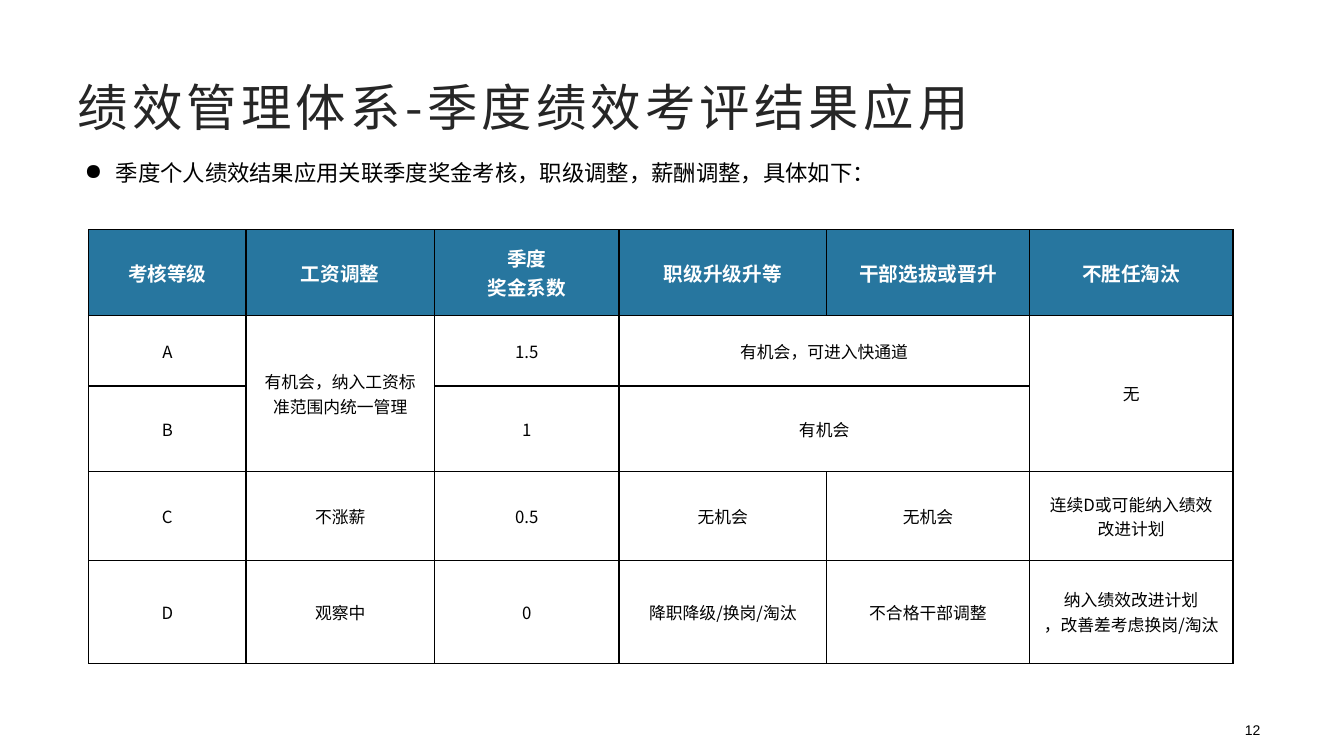
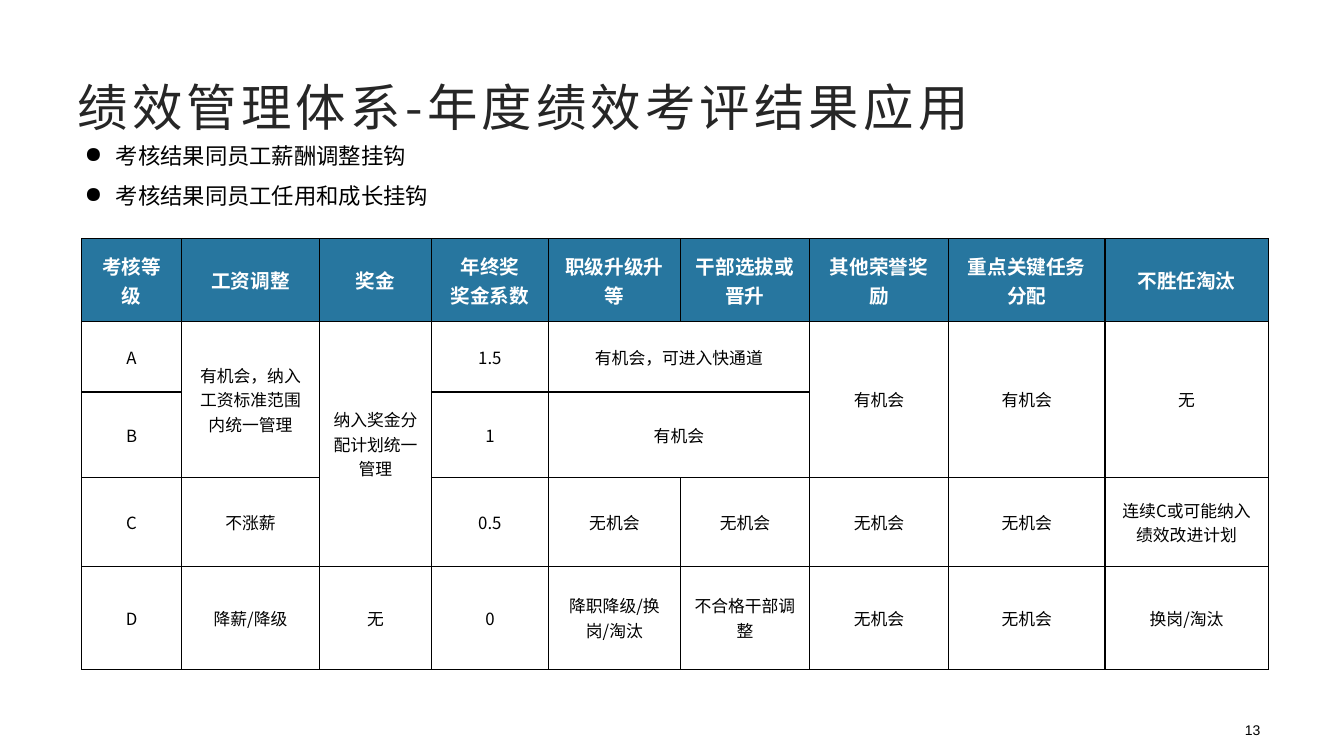
from dataclasses import dataclass

from lxml import etree
from pptx import Presentation
from pptx.dml.color import RGBColor
from pptx.enum.text import MSO_ANCHOR, MSO_AUTO_SIZE, PP_ALIGN
from pptx.oxml.ns import qn
from pptx.util import Inches, Pt

MIDDLE = MSO_ANCHOR.MIDDLE
LEFT, CENTER, RIGHT = PP_ALIGN.LEFT, PP_ALIGN.CENTER, PP_ALIGN.RIGHT
NO_FIT, GROW = MSO_AUTO_SIZE.NONE, MSO_AUTO_SIZE.SHAPE_TO_FIT_TEXT

BLACK = RGBColor(0x00, 0x00, 0x00)
WHITE = RGBColor(0xFF, 0xFF, 0xFF)
TITLE_GRAY = RGBColor(0x26, 0x26, 0x26)
HEADER_BLUE = RGBColor(0x27, 0x76, 0x9F)

ARIAL = "Arial"
NOTO = "Noto Sans CJK JP"
TITLE_ONLY = 5
BODY_ROW_HEIGHTS = [0.7, 0.85, 0.88, 1.02]

# Grid entries that continue the cell above or the cell to the left
UP, BACK = "^", "<"


@dataclass(frozen=True)
class TextStyle:
    size: float
    color: RGBColor
    latin: str
    east_asian: str
    bold: bool = False
    spacing: float = 0


TITLE_STYLE = TextStyle(36, TITLE_GRAY, NOTO, NOTO, spacing=3)
BULLET_STYLE = TextStyle(16, BLACK, ARIAL, ARIAL)
PAGE_STYLE = TextStyle(10, BLACK, ARIAL, ARIAL)
HEADER_STYLE = TextStyle(14, WHITE, ARIAL, NOTO, bold=True)
BODY_STYLE = TextStyle(12, BLACK, NOTO, NOTO)


@dataclass(frozen=True)
class ResultSlide:
    page: int
    title: str
    bullets: list[str]
    bullets_top: float
    bullets_height: float
    table_left: float
    table_top: float
    column_widths: list[float]
    header_height: float
    grid: list[list[str]]


QUARTERLY = ResultSlide(
    page=12,
    title="绩效管理体系-季度绩效考评结果应用",
    bullets=["季度个人绩效结果应用关联季度奖金考核，职级调整，薪酬调整，具体如下："],
    bullets_top=1.4,
    bullets_height=0.46,
    table_left=0.88,
    table_top=2.28,
    column_widths=[1.56, 1.87, 1.83, 2.06, 2.01, 2.02],
    header_height=0.85,
    grid=[
        ["考核等级", "工资调整", "季度\n奖金系数", "职级升级升等", "干部选拔或晋升", "不胜任淘汰"],
        ["A", "有机会，纳入工资标准范围内统一管理", "1.5", "有机会，可进入快通道", BACK, "无"],
        ["B", UP, "1", "有机会", BACK, UP],
        ["C", "不涨薪", "0.5", "无机会", "无机会", "连续D或可能纳入绩效改进计划"],
        ["D", "观察中", "0", "降职降级/换岗/淘汰", "不合格干部调整",
         "纳入绩效改进计划\n，改善差考虑换岗/淘汰"],
    ],
)

ANNUAL = ResultSlide(
    page=13,
    title="绩效管理体系-年度绩效考评结果应用",
    bullets=["考核结果同员工薪酬调整挂钩", "考核结果同员工任用和成长挂钩"],
    bullets_top=1.23,
    bullets_height=0.86,
    table_left=0.81,
    table_top=2.37,
    column_widths=[0.99, 1.37, 1.11, 1.16, 1.31, 1.28, 1.38, 1.55, 1.62],
    header_height=0.82,
    grid=[
        ["考核等级", "工资调整", "奖金", "年终奖\n奖金系数", "职级升级升等", "干部选拔或晋升",
         "其他荣誉奖励", "重点关键任务分配", "不胜任淘汰"],
        ["A", "有机会，纳入工资标准范围内统一管理", "纳入奖金分配计划统一管理", "1.5",
         "有机会，可进入快通道", BACK, "有机会", "有机会", "无"],
        ["B", UP, UP, "1", "有机会", BACK, UP, UP, UP],
        ["C", "不涨薪", UP, "0.5", "无机会", "无机会", "无机会", "无机会",
         "连续C或可能纳入绩效改进计划"],
        ["D", "降薪/降级", "无", "0", "降职降级/换岗/淘汰", "不合格干部调整", "无机会", "无机会",
         "换岗/淘汰"],
    ],
)


def write_text(frame, text: str, style: TextStyle, align: PP_ALIGN) -> None:
    frame.text = text
    for paragraph in frame.paragraphs:
        paragraph.alignment = align
        for run in paragraph.runs:
            font = run.font
            font.size = Pt(style.size)
            font.bold = style.bold
            font.color.rgb = style.color
            font.name = style.latin
            properties = run._r.get_or_add_rPr()
            etree.SubElement(properties, qn("a:ea"), typeface=style.east_asian)
            if style.spacing:
                properties.set("spc", str(int(style.spacing * 100)))


def add_title(slide, text: str) -> None:
    title = slide.shapes.title
    title.left, title.top = Inches(0.67), Inches(0.67)
    title.width, title.height = Inches(12), Inches(0.77)
    frame = title.text_frame
    write_text(frame, text, TITLE_STYLE, LEFT)
    frame.auto_size = NO_FIT
    frame.vertical_anchor = MIDDLE


def add_page_number(slide, page: int) -> None:
    box = slide.shapes.add_textbox(Inches(9.42), Inches(7.11), Inches(3.18), Inches(0.23))
    box.text_frame.word_wrap = True
    write_text(box.text_frame, str(page), PAGE_STYLE, RIGHT)


def add_bullets(slide, bullets: list[str], top: float, height: float) -> None:
    box = slide.shapes.add_textbox(Inches(0.74), Inches(top), Inches(11.97), Inches(height))
    frame = box.text_frame
    frame.word_wrap = True
    frame.auto_size = GROW
    write_text(frame, "\n".join(bullets), BULLET_STYLE, LEFT)
    indent = Inches(0.31)
    for paragraph in frame.paragraphs:
        paragraph.line_spacing = 1.5
        properties = paragraph._p.get_or_add_pPr()
        properties.set("marL", str(indent))
        properties.set("indent", str(-indent))
        etree.SubElement(properties, qn("a:buChar"), char="●")


def add_borders(cell) -> None:
    properties = cell._tc.get_or_add_tcPr()
    for side in ("lnL", "lnR", "lnT", "lnB"):
        line = etree.SubElement(properties, qn(f"a:{side}"), w=str(Pt(1)))
        fill = etree.SubElement(line, qn("a:solidFill"))
        etree.SubElement(fill, qn("a:srgbClr"), val=str(BLACK))


def span_length(entries: list[str], mark: str) -> int:
    """Count the first entry and the marks that directly follow it."""
    length = 1
    while length < len(entries) and entries[length] == mark:
        length += 1
    return length


def add_result_table(slide, content: ResultSlide) -> None:
    grid, widths = content.grid, content.column_widths
    heights = [content.header_height, *BODY_ROW_HEIGHTS]
    table = slide.shapes.add_table(
        len(heights), len(widths), Inches(content.table_left), Inches(content.table_top),
        Inches(sum(widths)), Inches(sum(heights))).table
    table.horz_banding = False
    for column, width in zip(table.columns, widths):
        column.width = Inches(width)
    for row, height in zip(table.rows, heights):
        row.height = Inches(height)

    for r, entries in enumerate(grid):
        for c, text in enumerate(entries):
            cell = table.cell(r, c)
            add_borders(cell)
            cell.fill.solid()
            cell.fill.fore_color.rgb = HEADER_BLUE if r == 0 else WHITE
            if text in (UP, BACK):
                continue
            cell.margin_left = cell.margin_right = Inches(0.13)
            cell.vertical_anchor = MIDDLE
            write_text(cell.text_frame, text, HEADER_STYLE if r == 0 else BODY_STYLE, CENTER)
            rows = span_length([line[c] for line in grid[r:]], UP)
            columns = span_length(entries[c:], BACK)
            if rows > 1 or columns > 1:
                cell.merge(table.cell(r + rows - 1, c + columns - 1))


def main() -> None:
    presentation = Presentation()
    presentation.slide_width, presentation.slide_height = Inches(13.33), Inches(7.5)
    for content in (QUARTERLY, ANNUAL):
        slide = presentation.slides.add_slide(presentation.slide_layouts[TITLE_ONLY])
        add_title(slide, content.title)
        add_page_number(slide, content.page)
        add_bullets(slide, content.bullets, content.bullets_top, content.bullets_height)
        add_result_table(slide, content)
    presentation.save("out.pptx")


if __name__ == "__main__":
    main()
